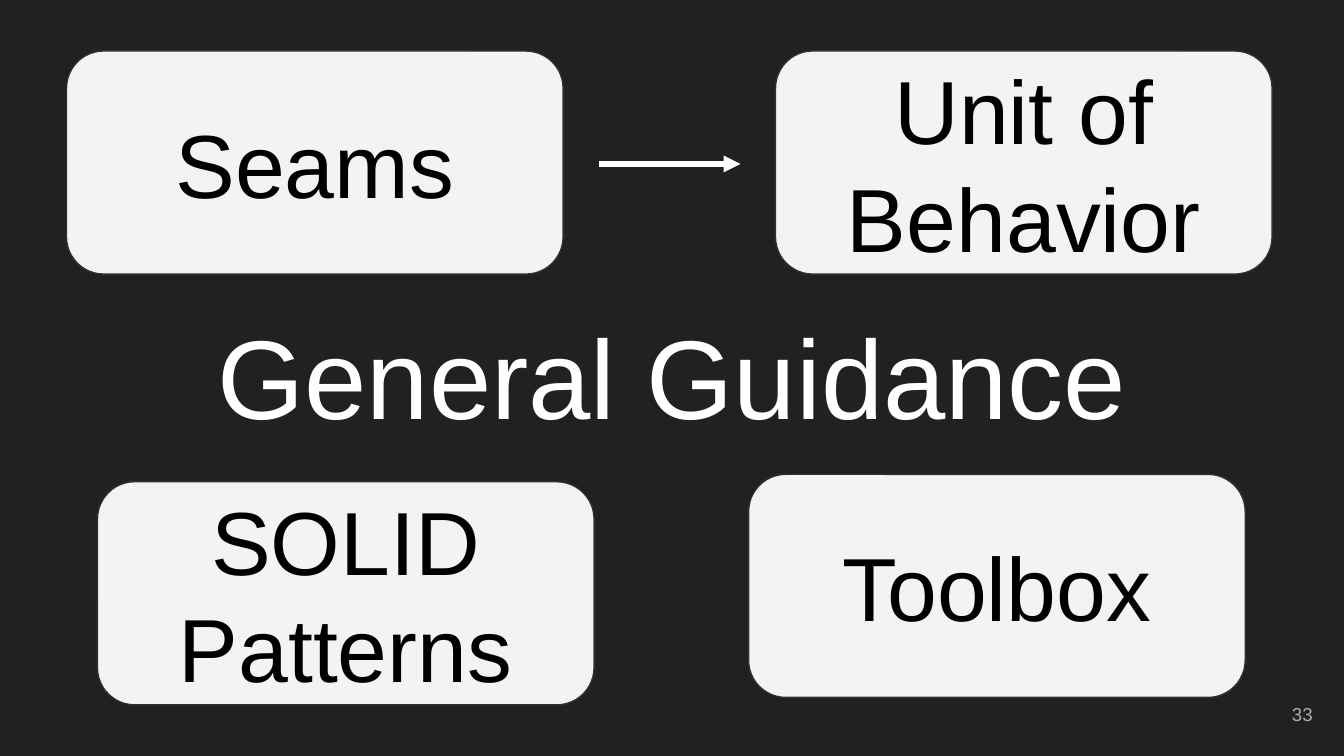
from typing import NamedTuple

from lxml.etree import SubElement
from pptx import Presentation
from pptx.dml.color import RGBColor as RGB
from pptx.enum.shapes import MSO_CONNECTOR as Link, MSO_SHAPE as Form
from pptx.enum.text import MSO_ANCHOR as Anchor, PP_ALIGN as Align
from pptx.oxml.ns import qn
from pptx.util import Emu, Pt

SCALE = 4572  # EMU per px, 200 px to the inch
COLORS = {
    "back": "212121",
    "card": "F3F3F3",
    "edge": "303030",
    "ink": "000000",
    "light": "FFFFFF",
    "muted": "ADADAD",
}
CARD_W, CARD_H = 739, 332


class Card(NamedTuple):
    x: int
    y: int
    text: str


CARDS = [
    Card(99, 76, "Seams"),
    Card(1154, 76, "Unit of Behavior"),
    Card(1114, 706, "Toolbox"),
    Card(145, 717, "SOLID\nPatterns"),
]


def px(n: int) -> Emu:
    return Emu(n * SCALE)


def color(name: str) -> RGB:
    return RGB.from_string(COLORS[name])


def write(shape, text: str, *, size: int, ink: str, align=Align.CENTER) -> None:
    frame = shape.text_frame
    frame.text = text
    frame.word_wrap = True
    frame.vertical_anchor = Anchor.MIDDLE
    frame.margin_left = frame.margin_right = px(20)
    frame.margin_top = frame.margin_bottom = px(20)
    for para in frame.paragraphs:
        para.alignment = align
        for run in para.runs:
            run.font.name = "Arial"
            run.font.size = Pt(size)
            run.font.color.rgb = color(ink)


def add_card(slide, card: Card) -> None:
    box = slide.shapes.add_shape(
        Form.ROUNDED_RECTANGLE, px(card.x), px(card.y), px(CARD_W), px(CARD_H))
    box.shadow.inherit = False
    box.fill.solid()
    box.fill.fore_color.rgb = color("card")
    box.line.color.rgb = color("edge")
    box.line.width = Pt(0.75)
    write(box, card.text, size=48, ink="ink")


def add_arrow(slide, x1: int, x2: int, y: int) -> None:
    arrow = slide.shapes.add_connector(Link.STRAIGHT, px(x1), px(y), px(x2), px(y))
    arrow.line.color.rgb = color("light")
    arrow.line.width = Pt(3)
    props = arrow.element.spPr
    SubElement(props.find(qn("a:ln")), qn("a:tailEnd"), type="triangle")
    SubElement(props, qn("a:effectLst"))


def main() -> None:
    deck = Presentation()
    deck.slide_width, deck.slide_height = px(2000), px(1125)
    slide = deck.slides.add_slide(deck.slide_layouts.get_by_name("Title Only"))
    slide.background.fill.solid()
    slide.background.fill.fore_color.rgb = color("back")

    title = slide.shapes.title
    title.left, title.top = px(68), px(466)
    title.width, title.height = px(1864), px(184)
    write(title, "General Guidance", size=60, ink="light")

    number = slide.shapes.add_textbox(px(1853), px(1020), px(120), px(86))
    write(number, "33", size=10, ink="muted", align=Align.RIGHT)

    for card in CARDS:
        add_card(slide, card)
    add_arrow(slide, 891, 1102, 244)
    deck.save("out.pptx")


if __name__ == "__main__":
    main()
